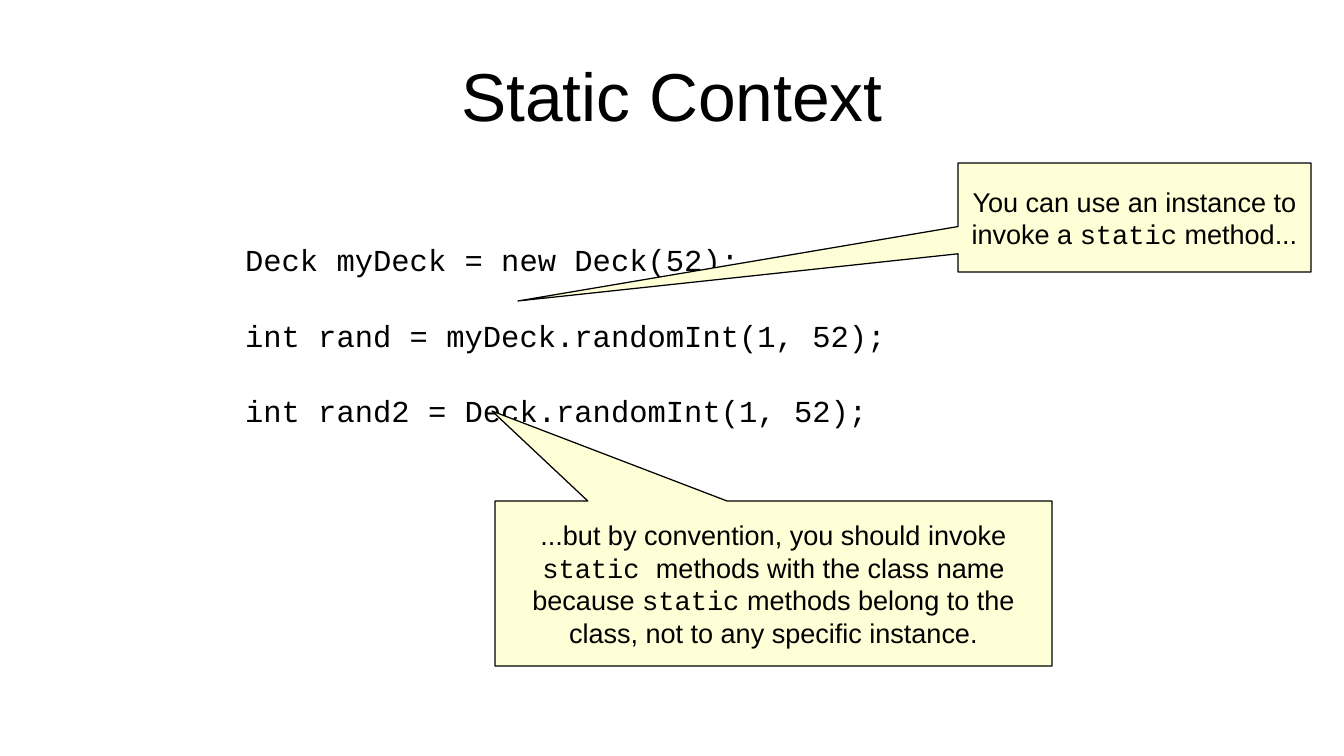
from pptx import Presentation
from pptx import util as u
from pptx.dml.color import RGBColor
from pptx.enum import shapes, text

PX = 914400 / 122
COLORS = {"ink": "000000", "note": "FFFFD7", "paper": "FFFFFF"}
SANS, MONO = "Arial", "Courier New"


def px(*lengths):
    return [u.Emu(round(length * PX)) for length in lengths]


def write(box, lines, size, font=SANS, align=text.PP_ALIGN.CENTER,
          anchor=text.MSO_ANCHOR.MIDDLE, gap=0, wrap=False, margins=(12, 6)):
    """Fill box with lines; the parts between backticks are set in MONO."""
    frame = box.text_frame
    frame.word_wrap = wrap
    frame.vertical_anchor = anchor
    frame.margin_left, frame.margin_top = frame.margin_right, frame.margin_bottom = px(*margins)
    for number, line in enumerate(lines):
        para = frame.add_paragraph() if number else frame.paragraphs[0]
        para.alignment = align
        if number:
            para.space_before = u.Pt(gap)
        for index, part in enumerate(line.split("`")):
            if part:
                span = para.add_run()
                span.text = part
                span.font.size = u.Pt(size)
                span.font.name = MONO if index % 2 else font
                span.font.color.rgb = RGBColor.from_string(COLORS["ink"])


deck = Presentation()
deck.slide_width, deck.slide_height = px(1344, 756)
page = deck.slides.add_slide(deck.slide_layouts[6])
page.background.fill.solid()
page.background.fill.fore_color.rgb = RGBColor.from_string(COLORS["paper"])

title = page.shapes.add_textbox(*px(67, 31, 1210, 127))
write(title, ["Static Context"], size=40, wrap=True, margins=(0, 0))

code = page.shapes.add_textbox(*px(233, 235, 665, 185))
write(code, [
    "Deck myDeck = new Deck(52);",
    "int rand = myDeck.randomInt(1, 52);",
    "int rand2 = Deck.randomInt(1, 52);",
], size=18, font=MONO, align=text.PP_ALIGN.LEFT, anchor=text.MSO_ANCHOR.TOP, gap=23)

# Each callout: left, top, width, height; pointer tip; lines
callouts = [
    ((958, 163, 353, 109), (518, 301), [
        "You can use an instance to",
        "invoke a `static` method...",
    ]),
    ((495, 501, 557, 165), (492, 411), [
        "...but by convention, you should invoke",
        "`static `methods with the class name",
        "because `static` methods belong to the",
        "class, not to any specific instance.",
    ]),
]
for (left, top, width, height), (tip_x, tip_y), lines in callouts:
    callout = page.shapes.add_shape(
        shapes.MSO_SHAPE.RECTANGULAR_CALLOUT, *px(left, top, width, height))
    callout.adjustments[0] = (tip_x - left) / width - 0.5
    callout.adjustments[1] = (tip_y - top) / height - 0.5
    callout.shadow.inherit = False
    callout.fill.solid()
    callout.fill.fore_color.rgb = RGBColor.from_string(COLORS["note"])
    callout.line.color.rgb = RGBColor.from_string(COLORS["ink"])
    callout.line.width = u.Pt(0)
    write(callout, lines, size=16)

deck.save("out.pptx")
